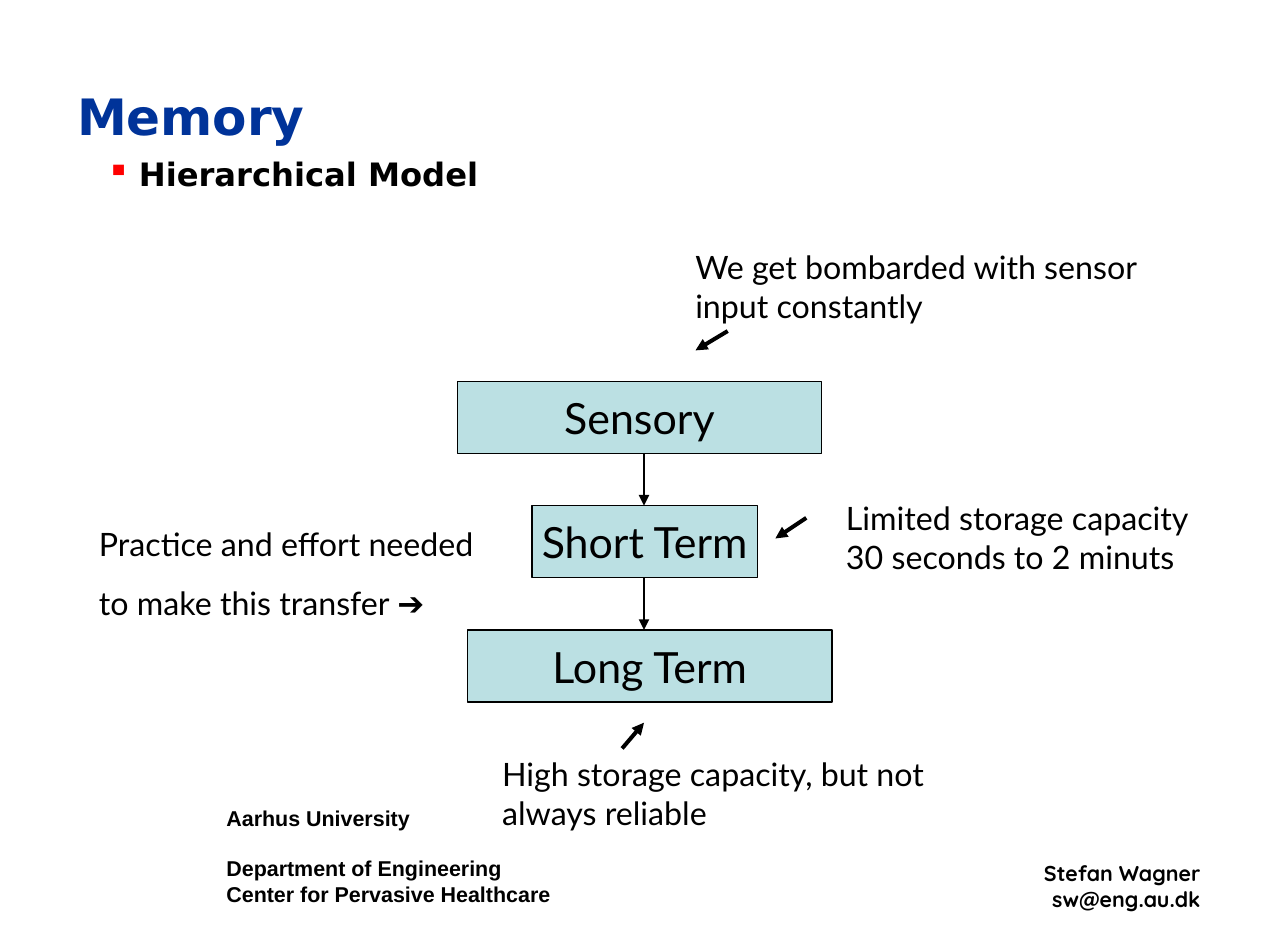
from itertools import pairwise
from typing import NamedTuple

from lxml.etree import SubElement
from pptx import Presentation
from pptx.dml.color import RGBColor
from pptx.enum.shapes import MSO_CONNECTOR, MSO_SHAPE
from pptx.enum.text import MSO_ANCHOR, PP_ALIGN
from pptx.oxml.ns import qn
from pptx.util import Inches, Pt

# Grid: 100 columns by 145 rows
WIDE, HIGH = Inches(10), Inches(7.25)
COLS, ROWS = 100, 145

BLACK, BLUE, RED, TEAL = "000000", "003399", "FF0000", "BBE0E3"
HEAD = {"name": "DejaVu Sans", "bold": True}
NOTE = {"name": "Lato", "size": Pt(18)}
STAGE = {"name": "Lato", "size": Pt(24)}
FOOT = {"size": Pt(12), "bold": True}


class Area(NamedTuple):
    col: float
    row: float
    wide: float
    high: float


class Label(NamedTuple):
    area: Area
    lines: tuple[str, ...]
    style: dict
    color: str = BLACK
    align: PP_ALIGN = PP_ALIGN.LEFT
    anchor: MSO_ANCHOR = MSO_ANCHOR.TOP
    gaps: tuple[float, ...] = ()


class Stage(NamedTuple):
    name: str
    col: float
    wide: float


class Arrow(NamedTuple):
    col: float
    row: float
    to_col: float
    to_row: float
    weight: float = 2.25


def x(col: float) -> int:
    return round(WIDE * col / COLS)


def y(row: float) -> int:
    return round(HIGH * row / ROWS)


def place(area: Area) -> tuple[int, int, int, int]:
    return x(area.col), y(area.row), x(area.wide), y(area.high)


def color(code: str) -> RGBColor:
    return RGBColor.from_string(code)


def write(para, text: str, style: dict, code: str) -> None:
    """Add the text as runs; the arrow symbol is set in Arial."""
    words, mark, _ = text.partition("➔")
    for part, extra in ((words, {}), (mark, {"name": "Arial"})):
        if part:
            run = para.add_run()
            run.text = part
            for key, value in (style | extra).items():
                setattr(run.font, key, value)
            run.font.color.rgb = color(code)


def draw_label(slide, label: Label):
    frame = slide.shapes.add_textbox(*place(label.area)).text_frame
    frame.word_wrap = True
    frame.vertical_anchor = label.anchor
    for i, text in enumerate(label.lines):
        para = frame.add_paragraph() if i else frame.paragraphs[0]
        para.alignment = label.align
        if i and label.gaps:
            para.space_before = Pt(label.gaps[i - 1])
        write(para, text, label.style, label.color)
    return frame


def add_bullet(para) -> None:
    props = para._p.get_or_add_pPr()
    props.set("marL", str(Inches(0.25)))
    props.set("indent", str(-Inches(0.25)))
    tint = SubElement(props, qn("a:buClr"))
    SubElement(tint, qn("a:srgbClr"), val=RED)
    SubElement(props, qn("a:buChar"), char="▪")
    para.line_spacing = 0.8


def draw_stage(slide, stage: Stage, row: float) -> None:
    area = Area(stage.col, row, stage.wide, TALL)
    box = slide.shapes.add_shape(MSO_SHAPE.RECTANGLE, *place(area))
    box.shadow.inherit = False
    box.fill.solid()
    box.fill.fore_color.rgb = color(TEAL)
    box.line.color.rgb = color(BLACK)
    box.line.width = Pt(0.75)
    frame = box.text_frame
    frame.word_wrap = False
    frame.vertical_anchor = MSO_ANCHOR.MIDDLE
    frame.paragraphs[0].alignment = PP_ALIGN.CENTER
    write(frame.paragraphs[0], stage.name, STAGE, BLACK)


def draw_arrow(slide, arrow: Arrow) -> None:
    line = slide.shapes.add_connector(
        MSO_CONNECTOR.STRAIGHT, x(arrow.col), y(arrow.row),
        x(arrow.to_col), y(arrow.to_row))
    line.line.color.rgb = color(BLACK)
    line.line.width = Pt(arrow.weight)
    props = line.element.spPr
    SubElement(props.find(qn("a:ln")), qn("a:tailEnd"), type="triangle")
    SubElement(props, qn("a:effectLst"))


# Memory stages, from top to bottom
TOP, STEP, TALL, MID = 59.2, 19.3, 11.2, 50
STAGES = (
    Stage("Sensory", 35.5, 28.3),
    Stage("Short Term", 41.3, 17.5),
    Stage("Long Term", 36.3, 28.3),
)

TITLE = Label(Area(5, 5.8, 90, 24.2), ("Memory",), HEAD | {"size": Pt(28)},
              BLUE, anchor=MSO_ANCHOR.MIDDLE)
TOPIC = Label(Area(7.3, 24.2, 34, 14.2), ("Hierarchical Model",),
              HEAD | {"size": Pt(18)})

LABELS = (
    # Footer
    Label(Area(63.1, 132.6, 31.1, 10), ("Stefan Wagner", "sw@eng.au.dk"),
          FOOT | {"name": "Quicksand"}, align=PP_ALIGN.RIGHT),
    Label(Area(16.6, 124, 35, 18),
          ("Aarhus University", "Department of Engineering",
           "Center for Pervasive Healthcare"),
          FOOT | {"name": "Arial"}, gaps=(13.8, 0)),
    # Notes on the stages
    Label(Area(53, 37.4, 41.7, 14),
          ("We get bombarded with sensor input constantly",), NOTE),
    Label(Area(64.7, 76.4, 30, 20),
          ("Limited storage capacity 30 seconds to 2 minuts",), NOTE),
    Label(Area(6.7, 80.4, 41.7, 17.2),
          ("Practice and effort needed", "to make this transfer ➔"),
          NOTE, gaps=(11.2,)),
    Label(Area(38, 116.2, 41.7, 14),
          ("High storage capacity, but not always reliable",), NOTE),
)

# Arrows from the notes to the stages
HINTS = (
    Arrow(56.5, 51.4, 54, 54.4),
    Arrow(62.6, 80.4, 60.2, 83.6),
    Arrow(48.3, 116.2, 50, 112.2),
)


def main() -> None:
    deck = Presentation()
    deck.slide_width, deck.slide_height = WIDE, HIGH
    slide = deck.slides.add_slide(deck.slide_layouts[6])

    # Heading
    draw_label(slide, TITLE)
    add_bullet(draw_label(slide, TOPIC).paragraphs[0])

    # Stages and the links between them
    tops = [TOP + i * STEP for i in range(len(STAGES))]
    for stage, row in zip(STAGES, tops):
        draw_stage(slide, stage, row)
    links = [Arrow(MID, a + TALL, MID, b, 1.5) for a, b in pairwise(tops)]

    for label in LABELS:
        draw_label(slide, label)
    for arrow in (*links, *HINTS):
        draw_arrow(slide, arrow)
    deck.save("out.pptx")


if __name__ == "__main__":
    main()
